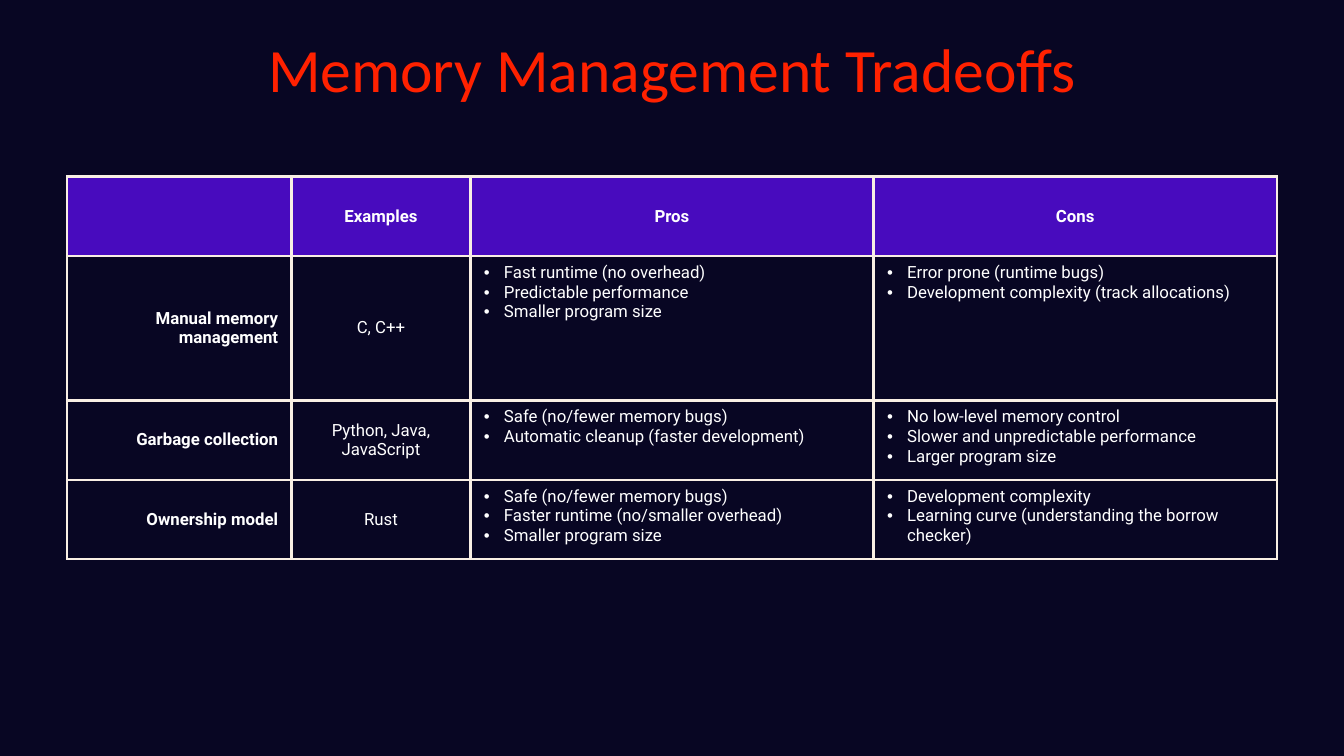
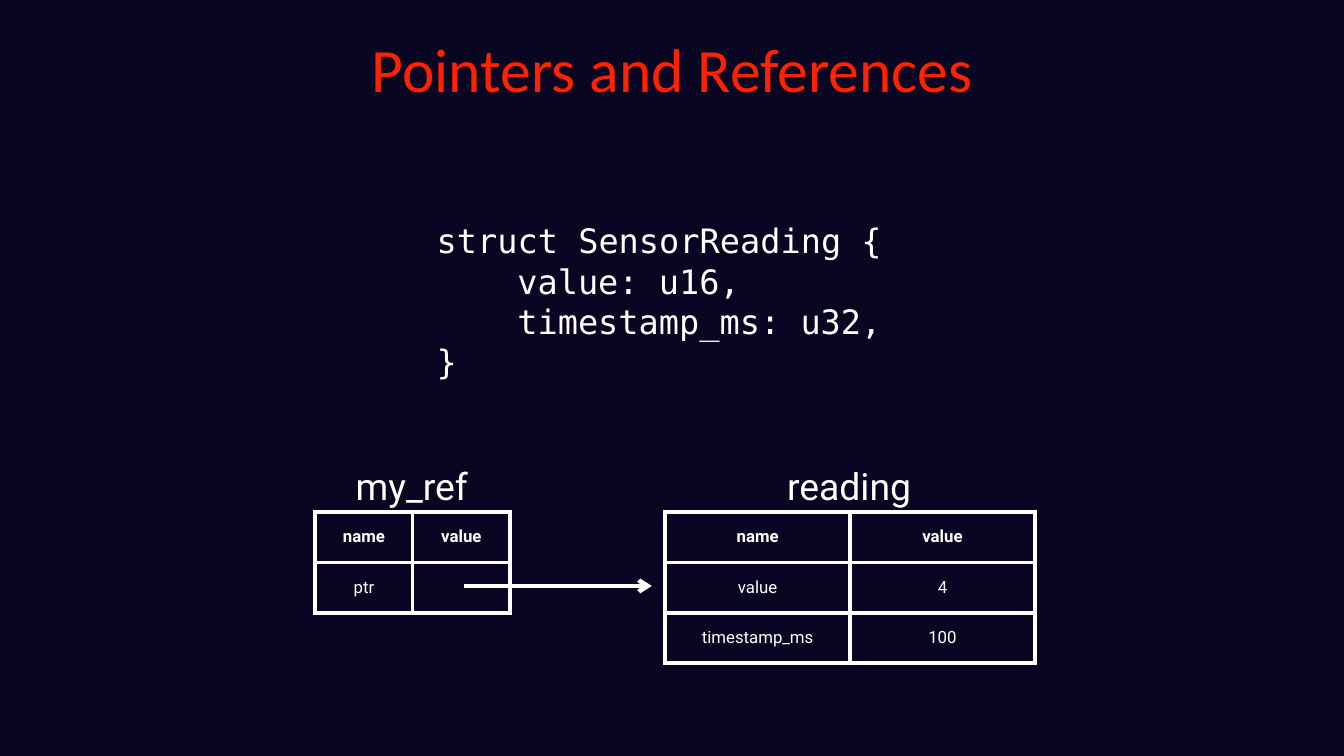
from lxml.etree import SubElement
from pptx import Presentation
from pptx.dml.color import RGBColor
from pptx.enum.shapes import MSO_CONNECTOR
from pptx.enum.text import MSO_ANCHOR, MSO_AUTO_SIZE, PP_ALIGN
from pptx.oxml.ns import qn
from pptx.util import Inches, Pt

COLORS = {"back": "080623", "title": "FF2100", "head": "480BBE",
          "cream": "F9EFE4", "white": "FFFFFF"}
FONTS = {"title": "Calibri", "body": "Roboto", "code": "DejaVu Sans Mono"}
COLS = 20  # square grid: 20 columns, 11.25 rows


def color(name):
    return RGBColor.from_string(COLORS[name])


def write(frame, text, size=18, font="body", tint="white", bold=False,
          align=PP_ALIGN.LEFT, space=None, bullet=None, inset=0):
    """Fill a text frame, one paragraph a line; a tab indents a line by inset."""
    for i, line in enumerate(text.split("\n")):
        par = frame.paragraphs[0] if i == 0 else frame.add_paragraph()
        par.alignment, par.line_spacing = align, space
        run = par.add_run()
        run.text = line.lstrip("\t")
        run.font.size, run.font.bold = Pt(size), bold
        run.font.name = FONTS[font]
        run.font.color.rgb = color(tint)
        props = par._p.get_or_add_pPr()
        if bullet or line.startswith("\t"):
            props.set("marL", str(inset))
        if bullet:
            props.set("indent", str(-inset))
            SubElement(props, qn("a:buFont"), typeface="Arial")
            SubElement(props, qn("a:buChar"), char=bullet)


def edge(cell, tint, width):
    """Draw the four borders of a cell."""
    props = cell._tc.get_or_add_tcPr()
    for side in ("lnL", "lnR", "lnT", "lnB"):
        line = SubElement(props, qn(f"a:{side}"), w=str(Pt(width)))
        fill = SubElement(line, qn("a:solidFill"))
        SubElement(fill, qn("a:srgbClr"), val=COLORS[tint])


class Deck:
    def __init__(self):
        self.prs = Presentation()
        self.prs.slide_width, self.prs.slide_height = Inches(20), Inches(11.25)
        # Shared background and title place
        fill = self.prs.slide_master.background.fill
        fill.solid()
        fill.fore_color.rgb = color("back")
        self.plan = self.prs.slide_layouts[5]
        head = self.plan.placeholders[0]
        head.left, head.top, head.width, head.height = self.grid(1.38, 0, 17.25, 2.17)
        self.slide = None

    def grid(self, *cells):
        return [round(self.prs.slide_width * n / COLS) for n in cells]

    def page(self, title):
        self.slide = self.prs.slides.add_slide(self.plan)
        frame = self.slide.shapes.title.text_frame
        frame.vertical_anchor = MSO_ANCHOR.MIDDLE
        frame.auto_size = MSO_AUTO_SIZE.NONE
        write(frame, title, size=66, font="title", tint="title",
              align=PP_ALIGN.CENTER, space=0.9)

    def text(self, text, *box, wrap=True, **style):
        frame = self.slide.shapes.add_textbox(*self.grid(*box)).text_frame
        frame.word_wrap = wrap
        frame.auto_size = MSO_AUTO_SIZE.SHAPE_TO_FIT_TEXT
        write(frame, text, **style)

    def table(self, data, left, top, cols, rows, paint, tint, width):
        """Build a table; paint(cell, row, col, text) styles each cell."""
        box = self.grid(left, top, sum(cols), sum(rows))
        table = self.slide.shapes.add_table(len(rows), len(cols), *box).table
        table.first_row = table.horz_banding = False
        for col, size in zip(table.columns, self.grid(*cols)):
            col.width = size
        for row, size in zip(table.rows, self.grid(*rows)):
            row.height = size
        for r, line in enumerate(data):
            for c, text in enumerate(line):
                cell = table.cell(r, c)
                edge(cell, tint, width)
                cell.fill.background()
                cell.vertical_anchor = MSO_ANCHOR.MIDDLE
                paint(cell, r, c, text)

    def arrow(self, left, right, row, tint="white", width=4.5):
        x, y, end = self.grid(left, row, right)
        link = self.slide.shapes.add_connector(MSO_CONNECTOR.STRAIGHT, x, y, end, y)
        link.line.color.rgb, link.line.width = color(tint), Pt(width)
        SubElement(link.line._ln, qn("a:tailEnd"), type="arrow")
        SubElement(link._element.spPr, qn("a:effectLst"))

    def record(self, name, data, left, wide, label):
        """Draw a captioned two-column table of names and values."""
        self.text(name, left + wide - label / 2, 6.85, label, 0.77,
                  wrap=False, size=40)
        self.table(data, left, 7.62, [wide] * 2, [0.75] * len(data),
                   plain, "white", 4.5)


def plain(cell, row, col, text):
    if text:
        write(cell.text_frame, text, bold=row == 0, align=PP_ALIGN.CENTER)


def trade(cell, row, col, text):
    side = 0.1 if row == 0 else 0.2
    cell.margin_left = cell.margin_right = Inches(side)
    cell.margin_top = cell.margin_bottom = Inches(0.1)
    if row == 0:
        cell.fill.solid()
        cell.fill.fore_color.rgb = color("head")
    if row and col > 1:
        cell.vertical_anchor = MSO_ANCHOR.TOP
        write(cell.text_frame, text, bullet="•", inset=Inches(0.3))
    elif text:
        align = PP_ALIGN.CENTER if col else PP_ALIGN.RIGHT
        write(cell.text_frame, text, bold=row == 0 or col == 0, align=align)


TRADES = [
    ("", "Examples", "Pros", "Cons"),
    ("Manual memory management", "C, C++",
     "Fast runtime (no overhead)\nPredictable performance\nSmaller program size",
     "Error prone (runtime bugs)\nDevelopment complexity (track allocations)"),
    ("Garbage collection", "Python, Java, JavaScript",
     "Safe (no/fewer memory bugs)\nAutomatic cleanup (faster development)",
     "No low-level memory control\nSlower and unpredictable performance\n"
     "Larger program size"),
    ("Ownership model", "Rust",
     "Safe (no/fewer memory bugs)\nFaster runtime (no/smaller overhead)\n"
     "Smaller program size",
     "Development complexity\nLearning curve (understanding the borrow checker)"),
]
CODE = "struct SensorReading {\n\tvalue: u16,\n\ttimestamp_ms: u32,\n}"
HEAD = ("name", "value")


def main():
    deck = Deck()

    # Tradeoffs table
    deck.page("Memory Management Tradeoffs")
    deck.table(TRADES, 1, 2.63, [3.34, 2.66, 6, 6], [1.18, 2.15, 1.18, 1.18],
               trade, "cream", 3)

    # Struct, its reference and its value
    deck.page("Pointers and References")
    deck.text(CODE, 6.4, 3.23, 7.45, 2.52, size=36, font="code", inset=Inches(1.2))
    deck.record("my_ref", [HEAD, ("ptr", "")], 4.69, 1.45, 1.89)
    deck.record("reading", [HEAD, ("value", "4"), ("timestamp_ms", "100")],
                9.9, 2.75, 2.07)
    deck.arrow(6.9, 9.7, 8.72)

    deck.prs.save("out.pptx")


if __name__ == "__main__":
    main()
